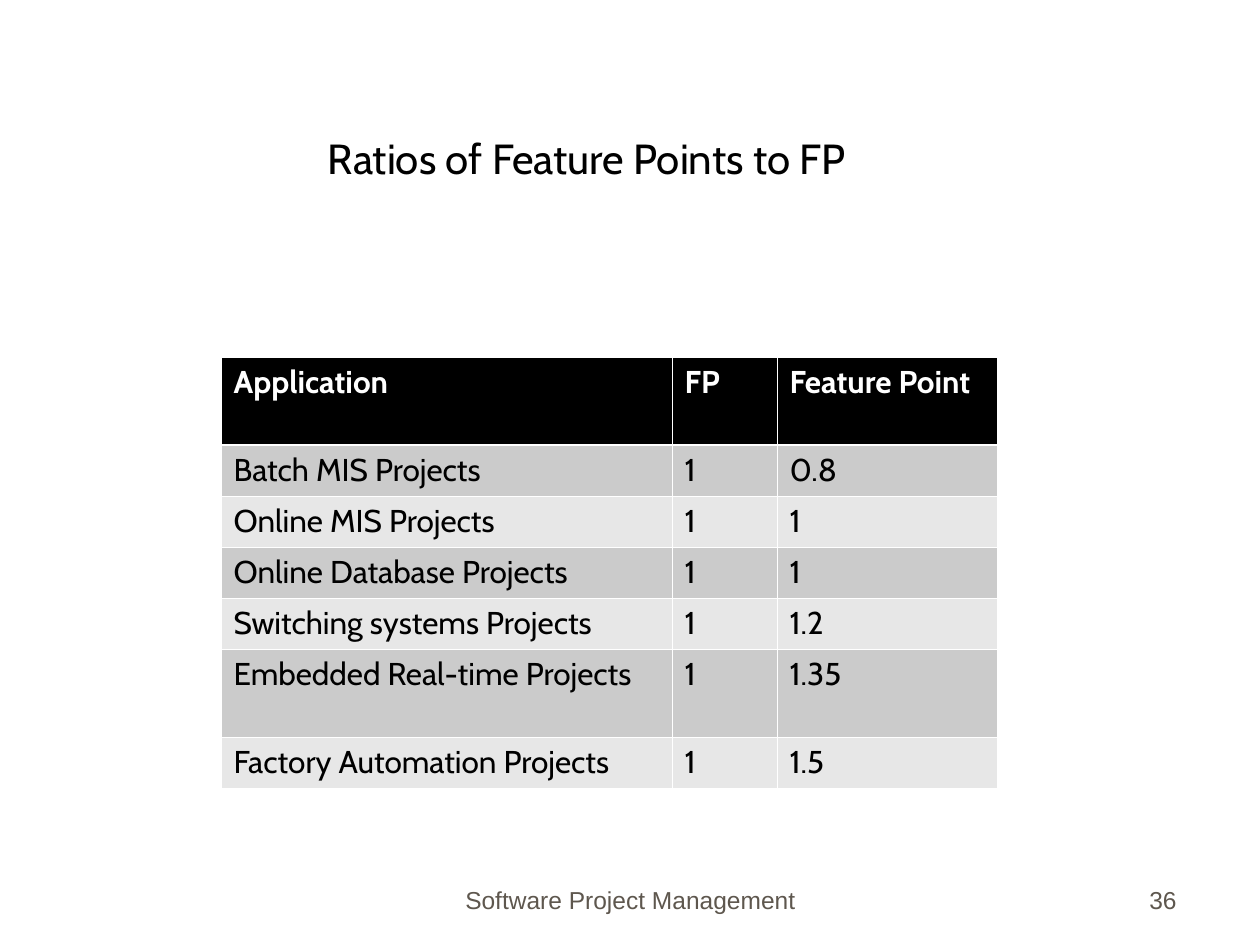
from lxml import etree
from pptx import Presentation
from pptx.dml.color import RGBColor
from pptx.enum.text import MSO_ANCHOR, PP_ALIGN
from pptx.oxml.ns import qn
from pptx.util import Pt

PIXELS_PER_INCH = 126
LEFT, CENTER, RIGHT = PP_ALIGN.LEFT, PP_ALIGN.CENTER, PP_ALIGN.RIGHT
TOP, BOTTOM = MSO_ANCHOR.TOP, MSO_ANCHOR.BOTTOM
TITLE_ONLY = 5
BLACK, WHITE, FOOTER_GRAY = "000000", "FFFFFF", "5E574E"
BAND_COLORS = ("CBCBCB", "E7E7E7")
THIN, THICK = 0.45, 1.47
COLUMN_WIDTHS = (451, 105, 220)
ROW_HEIGHTS = (88, 51, 51, 51, 51, 88, 51)
RATIOS = (
    ("Application", "FP", "Feature Point"),
    ("Batch MIS Projects", "1", "0.8"),
    ("Online MIS Projects", "1", "1"),
    ("Online Database Projects", "1", "1"),
    ("Switching systems Projects", "1", "1.2"),
    ("Embedded Real-time Projects", "1", "1.35"),
    ("Factory Automation Projects", "1", "1.5"),
)


def px(length):
    """Turn pixels into EMU."""
    return round(length * 914400 / PIXELS_PER_INCH)


def color(value):
    """Turn a hex string into a colour."""
    return RGBColor.from_string(value)


def write(text_frame, text, *, size, font="Cabin", fill=BLACK, bold=False,
          align=LEFT):
    """Write one formatted paragraph into a text frame."""
    paragraph = text_frame.paragraphs[0]
    paragraph.alignment = align
    run = paragraph.add_run()
    run.text = text
    run.font.name = font
    run.font.size = Pt(size)
    run.font.bold = bold
    run.font.color.rgb = color(fill)


def place_title(slide, text):
    """Move and format the title placeholder."""
    title = slide.shapes.title
    title.left, title.top = px(63), px(63)
    title.width, title.height = px(1134), px(781)
    text_frame = title.text_frame
    text_frame.word_wrap = True
    text_frame.vertical_anchor = TOP
    text_frame.margin_left, text_frame.margin_top = px(265), px(69)
    write(text_frame, text, size=24)


def add_footer(slide, text, left, width, align):
    """Add a text box on the footer line."""
    box = slide.shapes.add_textbox(px(left), px(858), px(width), px(63))
    text_frame = box.text_frame
    text_frame.word_wrap = True
    text_frame.vertical_anchor = BOTTOM
    write(text_frame, text, size=14, font="Arial", fill=FOOTER_GRAY, align=align)


def set_borders(cell, top, bottom):
    """Draw white borders around a cell."""
    properties = cell._tc.get_or_add_tcPr()
    widths = {"a:lnL": THIN, "a:lnR": THIN, "a:lnT": top, "a:lnB": bottom}
    for tag, width in widths.items():
        line = etree.SubElement(properties, qn(tag), w=str(Pt(width)))
        fill = etree.SubElement(line, qn("a:solidFill"))
        etree.SubElement(fill, qn("a:srgbClr"), val=WHITE)


def add_ratio_table(slide):
    """Add the banded table of ratios."""
    frame = slide.shapes.add_table(
        len(ROW_HEIGHTS), len(COLUMN_WIDTHS), px(221), px(357),
        px(sum(COLUMN_WIDTHS)), px(sum(ROW_HEIGHTS)))
    table = frame.table
    for column, width in zip(table.columns, COLUMN_WIDTHS):
        column.width = px(width)
    for index, (row, height) in enumerate(zip(table.rows, ROW_HEIGHTS)):
        row.height = px(height)
        header = index == 0
        for cell, text in zip(row.cells, RATIOS[index]):
            set_borders(cell, THICK if index == 1 else THIN,
                        THICK if header else THIN)
            cell.fill.solid()
            cell.fill.fore_color.rgb = color(
                BLACK if header else BAND_COLORS[(index - 1) % 2])
            write(cell.text_frame, text, size=18, bold=header,
                  fill=WHITE if header else BLACK)


def main():
    """Build and save the slide."""
    presentation = Presentation()
    presentation.slide_width, presentation.slide_height = px(1260), px(945)
    slide = presentation.slides.add_slide(presentation.slide_layouts[TITLE_ONLY])
    place_title(slide, "Ratios of Feature Points to FP")
    add_footer(slide, "Software Project Management", 431, 399, CENTER)
    add_footer(slide, "36", 927, 262, RIGHT)
    add_ratio_table(slide)
    presentation.save("out.pptx")


if __name__ == "__main__":
    main()
